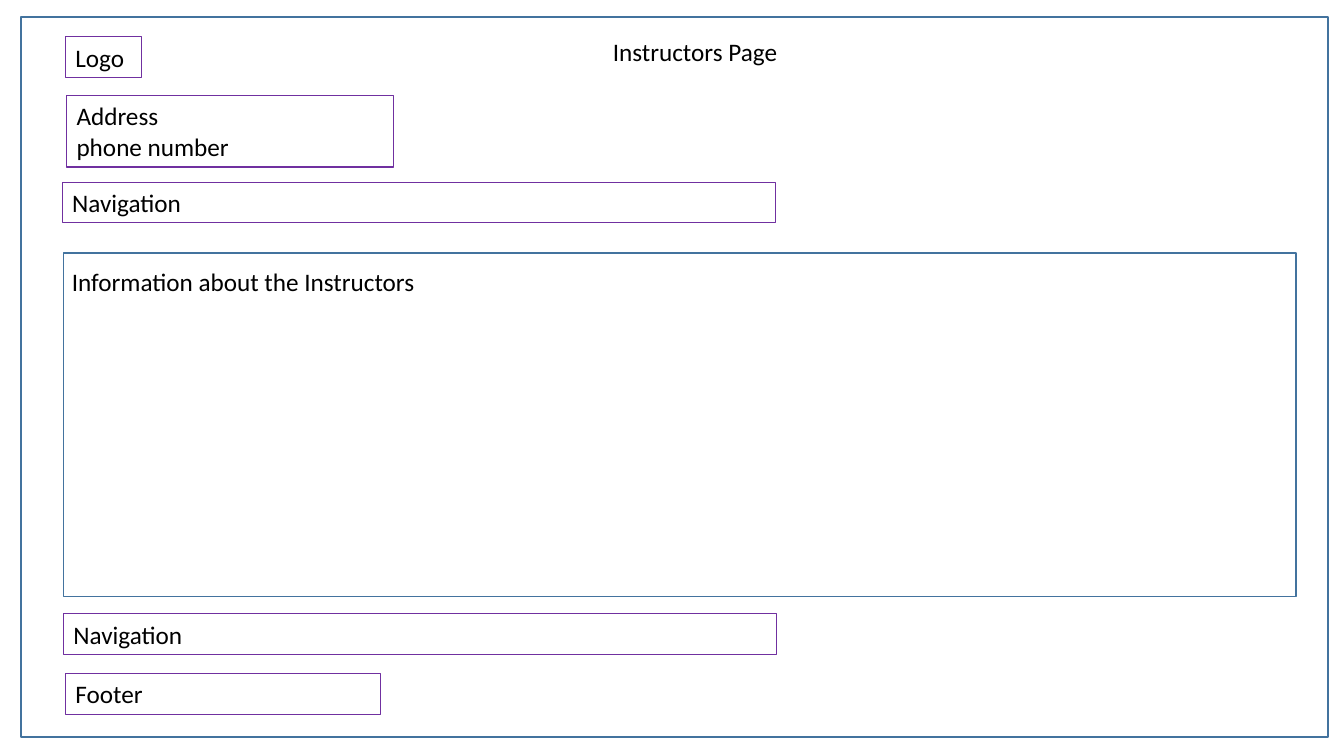
from pptx import Presentation
from pptx.dml.color import RGBColor
from pptx.enum.shapes import MSO_SHAPE
from pptx.enum.text import MSO_ANCHOR, MSO_AUTO_SIZE, PP_ALIGN
from pptx.util import Cm, Pt

COLORS = {"text": "000000", "page": "FFFFFF", "frame": "43739E", "block": "7030A0"}
FRAME_FORMAT = {"left": 0, "top": 0, "width": 0, "height": 0}
TEXT_FORMAT = {
    "word_wrap": True,
    "auto_size": MSO_AUTO_SIZE.NONE,
    "vertical_anchor": MSO_ANCHOR.TOP,
    "margin_left": Cm(0.25),
    "margin_right": Cm(0.25),
    "margin_top": Cm(0.13),
    "margin_bottom": Cm(0.13),
}
FONT_FORMAT = {"name": "Calibri", "size": Pt(18), "bold": False}


def write_text(shape, text, alignment=PP_ALIGN.LEFT):
    text_frame = shape.text_frame
    text_frame.text = text
    for name, value in TEXT_FORMAT.items():
        setattr(text_frame, name, value)
    for paragraph in text_frame.paragraphs:
        paragraph.alignment = alignment
        paragraph.line_spacing = 1.0
        paragraph.space_before = Pt(0)
        for name, value in FONT_FORMAT.items():
            setattr(paragraph.font, name, value)
        paragraph.font.color.rgb = RGBColor.from_string(COLORS["text"])


def add_box(position, line_color, line_width):
    shape = slide.shapes.add_shape(MSO_SHAPE.RECTANGLE, *map(Cm, position))
    shape.shadow.inherit = False
    shape.fill.background()
    shape.line.color.rgb = RGBColor.from_string(COLORS[line_color])
    shape.line.width = Pt(line_width)
    return shape


presentation = Presentation()
presentation.slide_width = Cm(33.87)
presentation.slide_height = Cm(19.05)
slide = presentation.slides.add_slide(presentation.slide_layouts[5])

# Page and content frames, placed behind the title
title = slide.shapes.title
for position in [(0.53, 0.43, 32.94, 18.14), (1.6, 6.38, 31.06, 8.66)]:
    frame = add_box(position, "frame", 1)
    frame.fill.solid()
    frame.fill.fore_color.rgb = RGBColor.from_string(COLORS["page"])
    title.element.addprevious(frame.element)

# Page title
title_position = {"left": 14.71, "top": 0.79, "width": 5.61, "height": 1.02}
for name, value in title_position.items():
    setattr(title, name, Cm(value))
write_text(title, "Instructors Page", PP_ALIGN.CENTER)

# Outlined page blocks
blocks = [
    ("Logo", (1.65, 0.93, 1.93, 1.03)),
    ("Address\nphone number", (1.68, 2.41, 8.23, 1.8)),
    ("Navigation", (1.57, 4.59, 17.97, 1.03)),
    ("Navigation", (1.6, 15.47, 17.97, 1.03)),
    ("Footer", (1.65, 16.97, 7.94, 1.03)),
]
for text, position in blocks:
    write_text(add_box(position, "block", 0.75), text)

# Content heading
heading = slide.shapes.add_textbox(Cm(1.56), Cm(6.57), Cm(26.59), Cm(1.03))
write_text(heading, "Information about the Instructors")

presentation.save("out.pptx")
